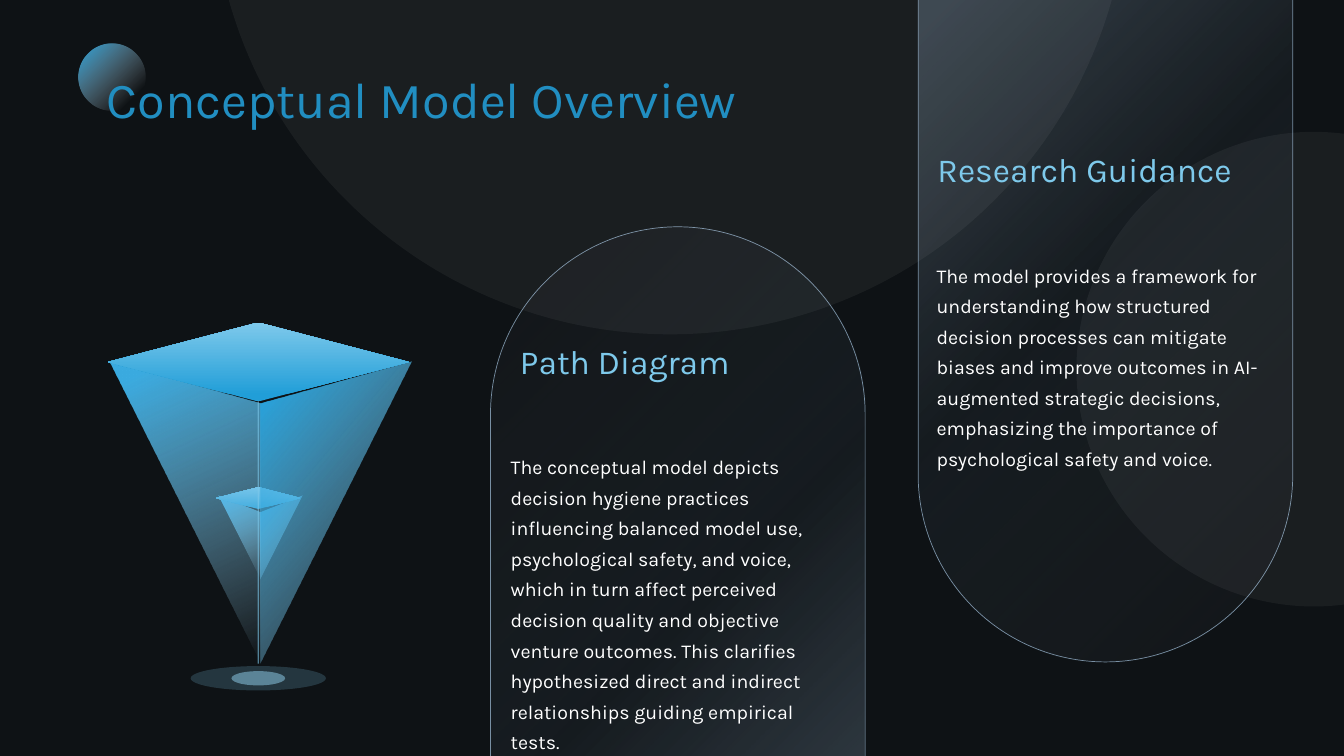
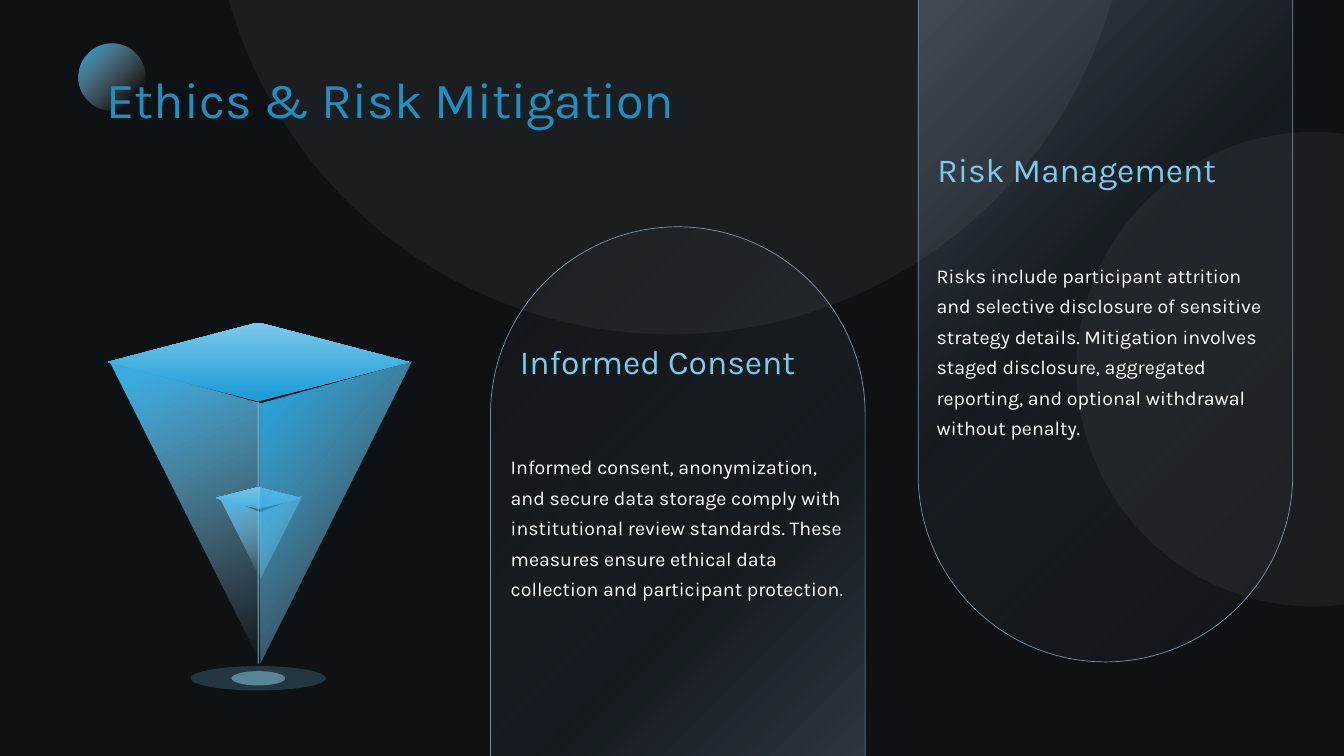
from dataclasses import dataclass

from lxml.etree import SubElement
from pptx import Presentation
from pptx.dml.color import RGBColor
from pptx.enum.shapes import MSO_CONNECTOR, MSO_SHAPE
from pptx.enum.text import MSO_ANCHOR, MSO_AUTO_SIZE, PP_ALIGN
from pptx.oxml.ns import qn
from pptx.util import Emu, Inches, Pt

COLUMNS, ROWS = 160, 90
UNIT = Emu(76200)
INSET = Inches(0.05)


@dataclass(frozen=True)
class Theme:
    font: str = "Karla"
    background: str = "0E1215"
    title: str = "218EC1"
    accent: str = "7EC9EB"
    body: str = "FFFFFF"
    outline: str = "788FA3"
    core: str = "93D2EF"
    title_size: int = 36
    heading_size: int = 24
    body_size: int = 14
    glass: tuple = ((0, "788FA3", 39), (22, "788FA3", 36), (54, "788FA3", 7), (100, "232322", 15))
    left_facet: tuple = ((0, "3CACE1", 100), (7, "3CACE1", 100), (100, "A9DAF2", 0))
    right_facet: tuple = ((0, "28A4DE", 100), (7, "28A4DE", 100), (100, "A9DAF2", 0))
    lid: tuple = ((0, "219ED8", 100), (9, "219ED8", 100), (100, "7EC9EB", 100))
    orb: tuple = ((0, "28A4DE", 100), (81, "C5C9CE", 0), (100, "C5C9CE", 0))


THEME = Theme()


@dataclass(frozen=True)
class Panel:
    left: float
    top: float
    rotation: int
    text_left: float
    text_top: float
    heading_indent: float


PANELS = (
    Panel(58.4, 27, 0, 60.2, 38.5, 1.1),
    Panel(109.3, -29.6, 180, 110.9, 15.7, 0.1),
)

SLIDES = (
    (
        "Conceptual Model Overview",
        (
            (
                "Path Diagram",
                "The conceptual model depicts decision hygiene practices influencing balanced "
                "model use, psychological safety, and voice, which in turn affect perceived "
                "decision quality and objective venture outcomes. This clarifies hypothesized "
                "direct and indirect relationships guiding empirical tests.",
            ),
            (
                "Research Guidance",
                "The model provides a framework for understanding how structured decision "
                "processes can mitigate biases and improve outcomes in AI-augmented strategic "
                "decisions, emphasizing the importance of psychological safety and voice.",
            ),
        ),
    ),
    (
        "Ethics & Risk Mitigation",
        (
            (
                "Informed Consent",
                "Informed consent, anonymization, and secure data storage comply with "
                "institutional review standards. These measures ensure ethical data collection "
                "and participant protection.",
            ),
            (
                "Risk Management",
                "Risks include participant attrition and selective disclosure of sensitive "
                "strategy details. Mitigation involves staged disclosure, aggregated reporting, "
                "and optional withdrawal without penalty.",
            ),
        ),
    ),
)


def grid(*lengths):
    return [Emu(round(length * UNIT)) for length in lengths]


def add_alpha(color_element, percent):
    SubElement(color_element, qn("a:alpha"), val=str(percent * 1000))


def fill_solid(shape, color, percent):
    shape.fill.solid()
    shape.fill.fore_color.rgb = RGBColor.from_string(color)
    add_alpha(shape._element.spPr.find(qn("a:solidFill"))[0], percent)


def fill_gradient(shape, stops, angle):
    shape.fill.background()
    properties = shape._element.spPr
    empty_fill = properties.find(qn("a:noFill"))
    gradient = SubElement(properties, qn("a:gradFill"), rotWithShape="1")
    stop_list = SubElement(gradient, qn("a:gsLst"))
    for position, color, percent in stops:
        stop = SubElement(stop_list, qn("a:gs"), pos=str(position * 1000))
        add_alpha(SubElement(stop, qn("a:srgbClr"), val=color), percent)
    SubElement(gradient, qn("a:lin"), ang=str(angle * 60000), scaled="0")
    properties.replace(empty_fill, gradient)


def make_plain(shape):
    shape.shadow.inherit = False
    shape.line.fill.background()
    return shape


def add_plain_shape(slide, kind, *box):
    return make_plain(slide.shapes.add_shape(kind, *grid(*box)))


def add_centred_ellipse(slide, center, top, width, height, color, percent):
    ellipse = add_plain_shape(slide, MSO_SHAPE.OVAL, center - width / 2, top, width, height)
    fill_solid(ellipse, color, percent)


def add_panel(slide, panel):
    shape = add_plain_shape(
        slide, MSO_SHAPE.ROUND_2_SAME_RECTANGLE, panel.left, panel.top, 44.6, 108.4
    )
    shape.adjustments[0] = 0.5
    shape.adjustments[1] = 0
    shape.rotation = panel.rotation
    fill_gradient(shape, THEME.glass, 225)
    shape.line.color.rgb = RGBColor.from_string(THEME.outline)
    shape.line.width = Pt(0.5)


def add_facets(slide, center, half_width, top, lid_height, apex):
    sides = ((-1, THEME.left_facet, 65), (1, THEME.right_facet, 40))
    for side, stops, angle in sides:
        builder = slide.shapes.build_freeform(center, top + lid_height, scale=UNIT)
        builder.add_line_segments(
            [(center, apex), (center + side * half_width, top + lid_height / 2)], close=True
        )
        fill_gradient(make_plain(builder.convert_to_shape()), stops, angle)


def add_lid(slide, center, half_width, top, height):
    lid = add_plain_shape(
        slide, MSO_SHAPE.FLOWCHART_DECISION, center - half_width, top, 2 * half_width, height
    )
    fill_gradient(lid, THEME.lid, 270)


def add_seam(slide, center, top, bottom):
    seam = slide.shapes.add_connector(MSO_CONNECTOR.STRAIGHT, *grid(center, top, center, bottom))
    seam.line.color.rgb = RGBColor.from_string(THEME.accent)
    add_alpha(seam._element.spPr.find(qn("a:ln")).find(qn("a:solidFill"))[0], 60)
    seam.line.width = Pt(1)
    SubElement(seam._element.spPr, qn("a:effectLst"))


def add_pyramid(slide):
    center = 30.75
    add_facets(slide, center, 5.05, 58, 2.6, 69.4)
    add_lid(slide, center, 5.05, 58, 2.6)
    add_facets(slide, center, 17.95, 38.4, 9.4, 79)
    add_seam(slide, center, 47.8, 79)
    add_centred_ellipse(slide, center, 79.3, 16.1, 2.9, THEME.accent, 20)
    add_lid(slide, center, 17.95, 38.4, 9.4)
    add_centred_ellipse(slide, center, 79.9, 6.4, 1.7, THEME.core, 50)


def format_text(text_frame, text, size, color, spacing, inset):
    text_frame.text = text
    text_frame.word_wrap = True
    text_frame.auto_size = MSO_AUTO_SIZE.NONE
    text_frame.vertical_anchor = MSO_ANCHOR.TOP
    text_frame.margin_left = text_frame.margin_right = inset
    text_frame.margin_top = text_frame.margin_bottom = inset
    paragraph = text_frame.paragraphs[0]
    paragraph.alignment = PP_ALIGN.LEFT
    paragraph.line_spacing = spacing
    paragraph.space_before = Pt(0)
    font = paragraph.runs[0].font
    font.name = THEME.font
    font.size = Pt(size)
    font.color.rgb = RGBColor.from_string(color)


def add_text(slide, box, text, size, color):
    text_box = slide.shapes.add_textbox(*grid(*box))
    format_text(text_box.text_frame, text, size, color, 1.3, INSET)


def add_panel_text(slide, panel, heading, body):
    heading_box = (panel.text_left + panel.heading_indent, panel.text_top, 39.5, 14)
    body_box = (panel.text_left, panel.text_top + 14.25, 41.2, 33)
    add_text(slide, heading_box, heading, THEME.heading_size, THEME.accent)
    add_text(slide, body_box, body, THEME.body_size, THEME.body)


def set_title(slide, text):
    title = slide.shapes.title
    title.left, title.top, title.width, title.height = grid(12.7, 6.7, 138.1, 8.6)
    format_text(title.text_frame, text, THEME.title_size, THEME.title, 1.2, 0)
    slide.shapes._spTree.append(title._element)


def add_decor(slide):
    for panel in PANELS:
        add_panel(slide, panel)
    add_centred_ellipse(slide, 79.8, -69.4, 109.2, 109.2, THEME.body, 5)
    add_centred_ellipse(slide, 156.4, 15.7, 56.5, 56.5, THEME.body, 5)
    add_pyramid(slide)
    orb = add_plain_shape(slide, MSO_SHAPE.OVAL, 9.3, 5.2, 8, 8)
    fill_gradient(orb, THEME.orb, 45)


def add_panel_slide(presentation, title, sections):
    slide = presentation.slides.add_slide(presentation.slide_layouts.get_by_name("Title Only"))
    add_decor(slide)
    set_title(slide, title)
    for panel, (heading, body) in zip(PANELS, sections):
        add_panel_text(slide, panel, heading, body)


def main():
    presentation = Presentation()
    presentation.slide_width, presentation.slide_height = grid(COLUMNS, ROWS)
    background = presentation.slide_master.background.fill
    background.solid()
    background.fore_color.rgb = RGBColor.from_string(THEME.background)
    for title, sections in SLIDES:
        add_panel_slide(presentation, title, sections)
    presentation.save("out.pptx")


if __name__ == "__main__":
    main()
